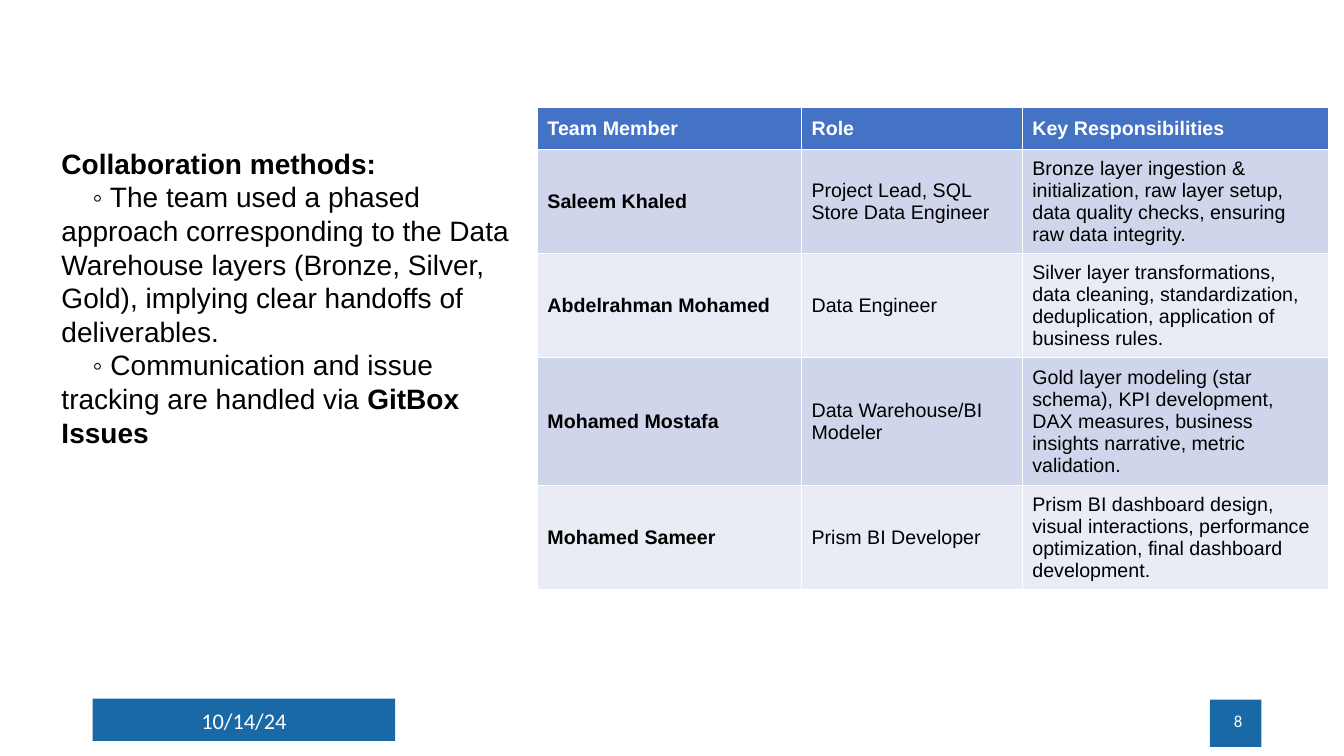
from pptx import Presentation
from pptx import util as u
from pptx.dml import color
from pptx.enum import shapes, text

PX = 9144
BLUE, WHITE, BLACK = "1869A6", "FFFFFF", "000000"
HEAD, BANDS = "4472C4", ("CFD5EA", "E9EBF5")

TEAM = [
    ("Team Member", "Role", "Key Responsibilities"),
    ("Saleem Khaled", "Project Lead, SQL Store Data Engineer",
     "Bronze layer ingestion & initialization, raw layer setup, "
     "data quality checks, ensuring raw data integrity."),
    ("Abdelrahman Mohamed", "Data Engineer",
     "Silver layer transformations, data cleaning, standardization, "
     "deduplication, application of business rules."),
    ("Mohamed Mostafa", "Data Warehouse/BI Modeler",
     "Gold layer modeling (star schema), KPI development, DAX measures, "
     "business insights narrative, metric validation."),
    ("Mohamed Sameer", "Prism BI Developer",
     "Prism BI dashboard design, visual interactions, performance "
     "optimization, final dashboard development."),
]

METHODS = [
    (0, [("Collaboration methods:", True)]),
    (31, [("◦ The team used a phased approach corresponding to the Data "
           "Warehouse layers (Bronze, Silver, Gold), implying clear "
           "handoffs of deliverables.", False)]),
    (31, [("◦ Communication and issue tracking are handled via ", False),
          ("GitBox Issues", True)]),
]


def px(*nums):
    return [u.Emu(n * PX) for n in nums]


def paint(fill, tone):
    fill.solid()
    fill.fore_color.rgb = color.RGBColor.from_string(tone)


def add_run(para, words, size, tone, bold=False, face="Arial"):
    run = para.add_run()
    run.text = words
    run.font.size = u.Pt(size)
    run.font.name = face
    run.font.bold = bold
    paint(run.font.fill, tone)


def add_bar(slide, *box):
    bar = slide.shapes.add_shape(shapes.MSO_SHAPE.RECTANGLE, *px(*box))
    bar.shadow.inherit = False
    paint(bar.fill, BLUE)
    bar.line.fill.background()


def add_label(slide, words, size, align, *box):
    frame = slide.shapes.add_textbox(*px(*box)).text_frame
    frame.word_wrap = True
    frame.vertical_anchor = text.MSO_ANCHOR.MIDDLE
    para = frame.paragraphs[0]
    para.alignment = align
    add_run(para, words, size, WHITE, face="Calibri")


def fill_list(body, items, *box):
    body.left, body.top, body.width, body.height = px(*box)
    frame = body.text_frame
    frame.word_wrap = True
    frame.auto_size = text.MSO_AUTO_SIZE.SHAPE_TO_FIT_TEXT
    for i, (indent, runs) in enumerate(items):
        para = frame.add_paragraph() if i else frame.paragraphs[0]
        para.space_before = u.Pt(0)
        props = para._p.get_or_add_pPr()
        props.set("marL", "0")
        props.set("indent", str(indent * PX))
        props.append(props.makeelement(
            "{http://schemas.openxmlformats.org/drawingml/2006/main}buNone"))
        for words, bold in runs:
            add_run(para, words, 20, BLACK, bold)


def add_grid(slide, rows, widths, left, top, high):
    box = px(left, top, sum(widths), high * len(rows))
    grid = slide.shapes.add_table(len(rows), len(widths), *box).table
    for col, width in zip(grid.columns, px(*widths)):
        col.width = width
    for r, row in enumerate(rows):
        for c, words in enumerate(row):
            cell = grid.cell(r, c)
            cell.vertical_anchor = text.MSO_ANCHOR.MIDDLE
            paint(cell.fill, BANDS[(r - 1) % 2] if r else HEAD)
            add_run(cell.text_frame.paragraphs[0], words, 14,
                    BLACK if r else WHITE, r == 0 or c == 0)


def main():
    deck = Presentation()
    deck.slide_width, deck.slide_height = px(1333, 750)
    slide = deck.slides.add_slide(deck.slide_layouts[1])
    title = slide.shapes.title._element
    title.getparent().remove(title)

    add_bar(slide, 92, 693, 300, 42)
    add_bar(slide, 1200, 694, 51, 47)
    add_label(slide, "10/14/24", 16, text.PP_ALIGN.CENTER, 92, 695, 300, 40)
    add_label(slide, "8", 12, text.PP_ALIGN.RIGHT, 942, 695, 300, 40)
    add_grid(slide, TEAM, (262, 219, 304), 533, 107, 41)
    fill_list(slide.placeholders[1], METHODS, 51, 140, 467, 313)
    deck.save("out.pptx")


if __name__ == "__main__":
    main()
